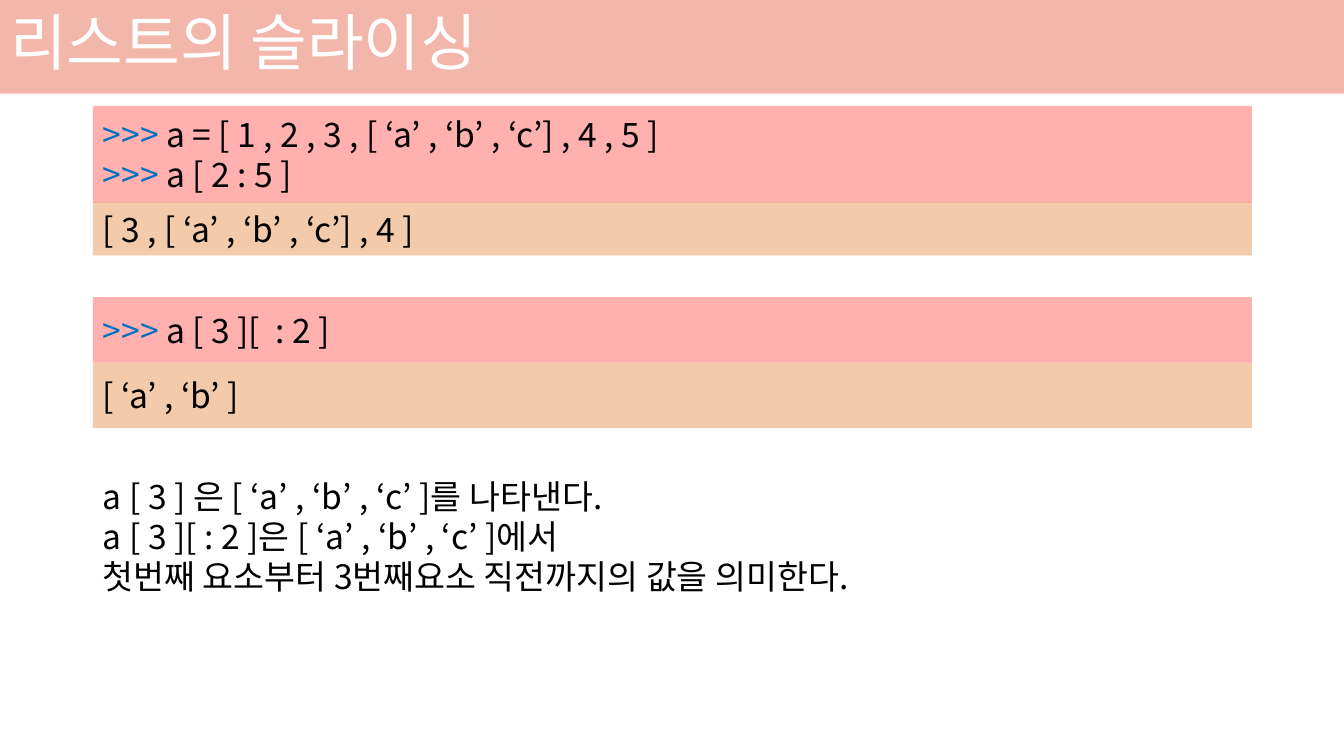
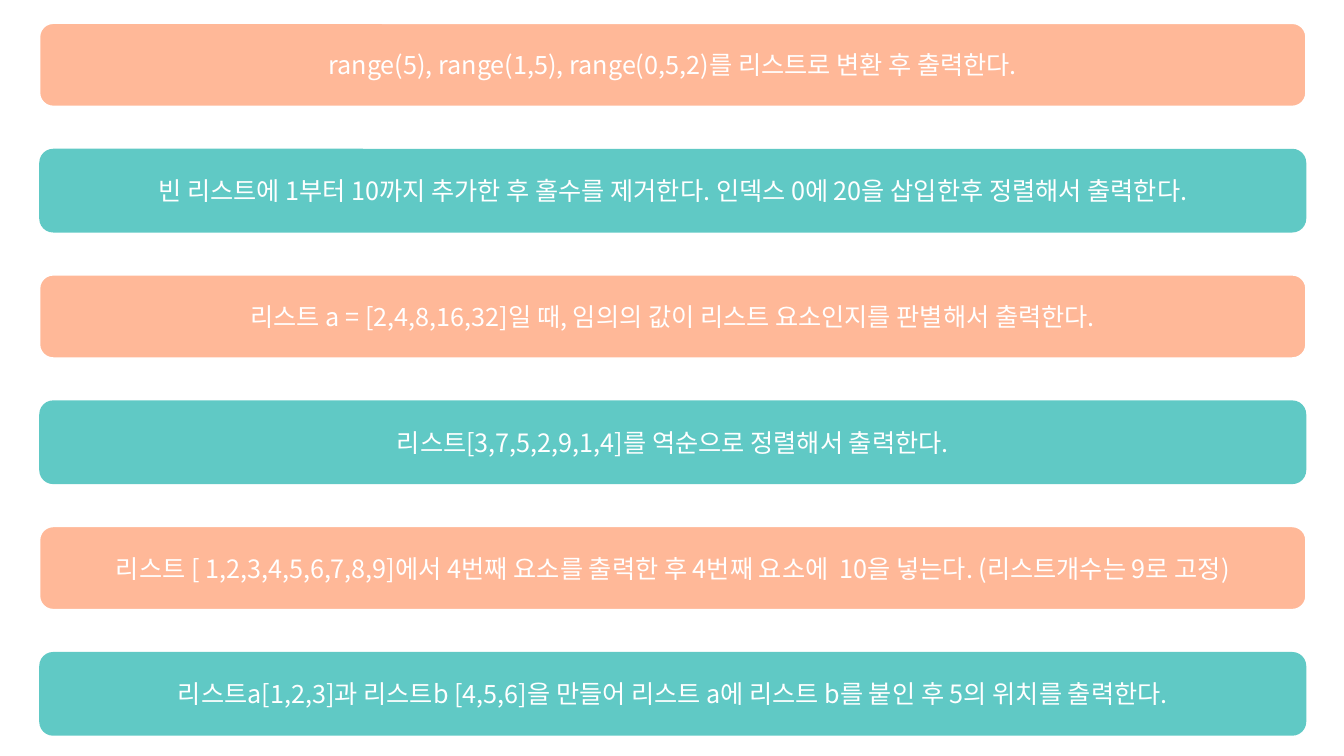
from lxml.etree import SubElement
from pptx import Presentation
from pptx.dml.color import RGBColor
from pptx.enum.shapes import MSO_SHAPE as Shape
from pptx.enum.text import MSO_ANCHOR as Anchor, MSO_AUTO_SIZE as AutoSize, PP_ALIGN as Align
from pptx.oxml.ns import qn
from pptx.util import Cm, Pt

FONT = "Noto Sans CJK KR"
WHITE, BLACK, BLUE = "FFFFFF", "000000", "0070C0"
BAND, CODE, RESULT = "E86E58", "FF6261", "E89858"
ORANGE, TEAL = "FF9A6D", "1DB3AD"
PROMPT = ">>>"


def paint(fill, color, opacity=100):
    """Make a fill solid with a hex colour and an opacity in percent."""
    fill.solid()
    fill.fore_color.rgb = RGBColor.from_string(color)
    if opacity < 100:
        SubElement(fill.fore_color._xFill[0], qn("a:alpha"), val=str(opacity * 1000))


def write(tf, lines, size, color, align=Align.LEFT, **frame):
    """Write one paragraph per line, with any leading prompt in blue."""
    for name, value in {"word_wrap": True, "vertical_anchor": Anchor.MIDDLE, **frame}.items():
        setattr(tf, name, value)
    for i, line in enumerate(lines):
        p = tf.add_paragraph() if i else tf.paragraphs[0]
        p.alignment = align
        prompt = PROMPT if line.startswith(PROMPT) else ""
        for text, ink in ((prompt, BLUE), (line.removeprefix(PROMPT), color)):
            if text:
                r = p.add_run()
                r.text = text
                for name, value in {"name": FONT, "size": Pt(size)}.items():
                    setattr(r.font, name, value)
                paint(r.font.fill, ink)
                SubElement(r.font._element, qn("a:ea"), typeface=FONT)


prs = Presentation()
prs.slide_width, prs.slide_height = Cm(33.87), Cm(19.05)

# Slide 1: list slicing
s = prs.slides.add_slide(prs.slide_layouts[5])
title = s.shapes.title
box = {"left": Cm(0), "top": Cm(-0.08), "width": prs.slide_width, "height": Cm(2.44)}
for name, value in box.items():
    setattr(title, name, value)
paint(title.fill, BAND, 50)
write(title.text_frame, ["리스트의 슬라이싱"], 44, WHITE, auto_size=AutoSize.NONE)
title.text_frame.paragraphs[0].line_spacing = 0.9

left, width = Cm(2.34), Cm(29.21)
code_boxes = [
    (2.67, 2.44, CODE, [">>> a = [ 1 , 2 , 3 , [ ‘a’ , ‘b’ , ‘c’] , 4 , 5 ]", ">>> a [ 2 : 5 ]"]),
    (5.09, 1.35, RESULT, ["[ 3 , [ ‘a’ , ‘b’ , ‘c’] , 4 ]"]),
    (7.49, 1.65, CODE, [">>> a [ 3 ][  : 2 ]"]),
    (9.14, 1.65, RESULT, ["[ ‘a’ , ‘b’ ]"]),
]
for top, height, color, lines in code_boxes:
    sp = s.shapes.add_shape(Shape.RECTANGLE, left, Cm(top), width, Cm(height))
    sp.shadow.inherit = False
    paint(sp.fill, color, 50)
    sp.line.fill.background()
    write(sp.text_frame, lines, 24, BLACK)

note = s.shapes.add_textbox(left, Cm(11.86), width, Cm(3.33))
note_lines = [
    "a [ 3 ] 은 [ ‘a’ , ‘b’ , ‘c’ ]를 나타낸다.",
    "a [ 3 ][ : 2 ]은 [ ‘a’ , ‘b’ , ‘c’ ]에서",
    "첫번째 요소부터 3번째요소 직전까지의 값을 의미한다.",
]
write(note.text_frame, note_lines, 24, BLACK,
      vertical_anchor=Anchor.TOP, auto_size=AutoSize.SHAPE_TO_FIT_TEXT)

# Slide 2: exercises
s = prs.slides.add_slide(prs.slide_layouts[6])
exercises = [
    "range(5), range(1,5), range(0,5,2)를 리스트로 변환 후 출력한다.",
    "빈 리스트에 1부터 10까지 추가한 후 홀수를 제거한다. 인덱스 0에 20을 삽입한후 정렬해서 출력한다.",
    "리스트 a = [2,4,8,16,32]일 때, 임의의 값이 리스트 요소인지를 판별해서 출력한다.",
    "리스트[3,7,5,2,9,1,4]를 역순으로 정렬해서 출력한다.",
    "리스트 [ 1,2,3,4,5,6,7,8,9]에서 4번째 요소를 출력한 후 4번째 요소에  10을 넣는다. (리스트개수는 9로 고정)",
    "리스트a[1,2,3]과 리스트b [4,5,6]을 만들어 리스트 a에 리스트 b를 붙인 후 5의 위치를 출력한다.",
]
for i, exercise in enumerate(exercises):
    sp = s.shapes.add_shape(Shape.ROUNDED_RECTANGLE, Cm(0.99), Cm(0.58 + 3.17 * i), Cm(31.93), Cm(2.11))
    sp.shadow.inherit = False
    if i % 2:
        paint(sp.fill, TEAL, 70)
        sp.line.fill.background()
    else:
        paint(sp.fill, ORANGE, 70)
        paint(sp.line.fill, WHITE)
        sp.line.width = Pt(1.5)
    write(sp.text_frame, [exercise], 18, WHITE, Align.CENTER)

prs.save("out.pptx")
